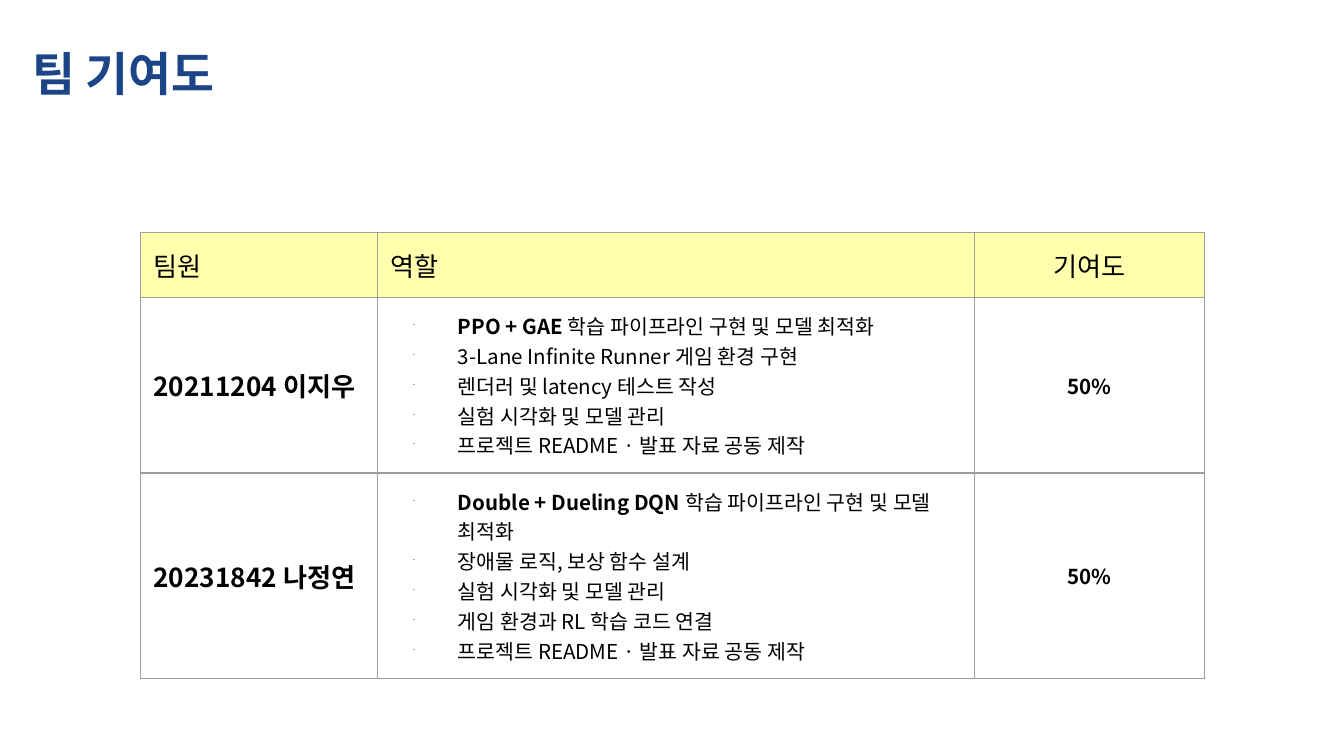
from lxml import etree
from pptx import Presentation
from pptx import util as u
from pptx.dml.color import RGBColor
from pptx.enum import text
from pptx.oxml.ns import qn

FONT = "Noto Sans CJK KR"
HEADERS = ["팀원", "역할", "기여도"]
MEMBERS = [
    ("20211204 이지우", [
        ("PPO + GAE", " 학습 파이프라인 구현 및 모델 최적화"),
        ("", "3-Lane Infinite Runner 게임 환경 구현"),
        ("", "렌더러 및 latency 테스트 작성"),
        ("", "실험 시각화 및 모델 관리"),
        ("", "프로젝트 README · 발표 자료 공동 제작"),
    ], "50%"),
    ("20231842 나정연", [
        ("Double + Dueling DQN ", "학습 파이프라인 구현 및 모델 최적화"),
        ("", "장애물 로직, 보상 함수 설계"),
        ("", "실험 시각화 및 모델 관리"),
        ("", "게임 환경과 RL 학습 코드 연결"),
        ("", "프로젝트 README · 발표 자료 공동 제작"),
    ], "50%"),
]


def rgb(color):
    return RGBColor.from_string(color)


def sub(parent, tag, **attrs):
    return etree.SubElement(parent, qn(tag), attrs)


def add_run(p, words, size, bold=False, color="000000"):
    r = p.add_run()
    r.text = words
    r.font.size = u.Pt(size)
    r.font.bold = bold
    r.font.name = FONT
    r.font.color.rgb = rgb(color)
    sub(r._r.get_or_add_rPr(), "a:ea", typeface=FONT)


def add_bullet(p):
    pPr = p._p.get_or_add_pPr()
    pPr.set("marL", str(u.Cm(1.27)))
    pPr.set("indent", str(u.Cm(-0.84)))
    sub(sub(pPr, "a:buClr"), "a:srgbClr", val="000000")
    sub(pPr, "a:buSzPct", val="25000")
    sub(pPr, "a:buChar", char="-")


def add_title(s, words):
    sp = s.shapes.add_textbox(u.Cm(0.43), u.Cm(0.86), u.Cm(24.13), u.Cm(1.17))
    tf = sp.text_frame
    tf.word_wrap = True
    tf.vertical_anchor = text.MSO_ANCHOR.MIDDLE
    tf.margin_left = tf.margin_right = u.Cm(0.18)
    tf.margin_top = tf.margin_bottom = u.Cm(0.1)
    p = tf.paragraphs[0]
    p.line_spacing = 0.9
    add_run(p, words, 25, True, "1C4587")


def style_cell(cell, fill=None):
    cell.vertical_anchor = text.MSO_ANCHOR.MIDDLE
    cell.margin_left = cell.margin_right = u.Cm(0.25)
    cell.margin_top = cell.margin_bottom = u.Cm(0.25)
    tcPr = cell._tc.get_or_add_tcPr()
    for side in ("L", "R", "T", "B"):
        ln = sub(tcPr, f"a:ln{side}", w=str(u.Pt(0.75)))
        sub(sub(ln, "a:solidFill"), "a:srgbClr", val="9E9E9E")
    if fill:
        cell.fill.solid()
        cell.fill.fore_color.rgb = rgb(fill)
    else:
        cell.fill.background()


def fill_label(cell, words, size, bold=False, centred=False):
    p = cell.text_frame.paragraphs[0]
    if centred:
        p.alignment = text.PP_ALIGN.CENTER
    add_run(p, words, size, bold)


def fill_roles(cell, roles):
    tf = cell.text_frame
    for i, (strong, plain) in enumerate(roles):
        p = tf.add_paragraph() if i else tf.paragraphs[0]
        add_bullet(p)
        if strong:
            add_run(p, strong, 11, True)
        add_run(p, plain, 11)


def add_team_table(s):
    widths = [4.48, 11.28, 4.35]
    heights = [1.22, 3.32, 3.88]
    frame = s.shapes.add_table(len(heights), len(widths), u.Cm(2.65), u.Cm(4.4),
                               u.Cm(sum(widths)), u.Cm(sum(heights)))
    table = frame.table
    for column, width in zip(table.columns, widths):
        column.width = u.Cm(width)
    for row, height in zip(table.rows, heights):
        row.height = u.Cm(height)
    for c, words in enumerate(HEADERS):
        cell = table.cell(0, c)
        style_cell(cell, "FFFFAD")
        fill_label(cell, words, 14, centred=c == 2)
    for i, (member, roles, share) in enumerate(MEMBERS, 1):
        cells = [table.cell(i, c) for c in range(len(widths))]
        for cell in cells:
            style_cell(cell)
        fill_label(cells[0], member, 14, bold=True)
        fill_roles(cells[1], roles)
        fill_label(cells[2], share, 11, bold=True, centred=True)


def main():
    prs = Presentation()
    prs.slide_width, prs.slide_height = u.Cm(25.4), u.Cm(14.29)
    s = prs.slides.add_slide(prs.slide_layouts[6])
    add_title(s, "팀 기여도")
    add_team_table(s)
    prs.save("out.pptx")


if __name__ == "__main__":
    main()
